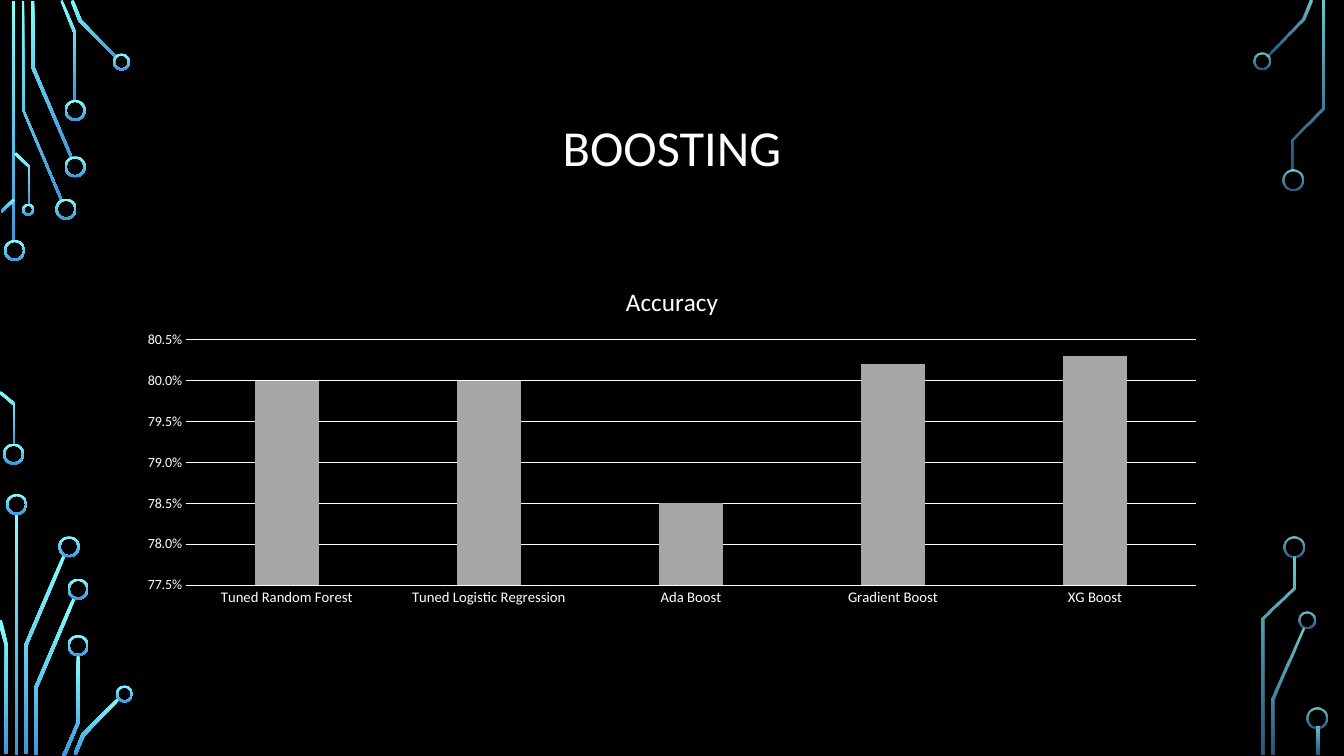
"""Build the Boosting slide: model accuracy columns framed by circuit traces."""
from pptx import Presentation
from pptx.chart import data
from pptx.dml.color import RGBColor
from pptx.enum import chart as charts, shapes, text
from pptx.oxml import ns
from pptx.util import Inches, Pt
from lxml import etree

COLORS = {"background": "000000", "text": "FFFFFF", "bar": "A6A6A6",
          "trace_top": "82FFFF", "trace_bottom": "3D97DE"}
FONT = "Calibri"
SOLID, FADED = (100, 100), (80, 60)


def style_font(font, size):
    font.name = FONT
    font.size = Pt(size)
    font.bold = False
    font.color.rgb = RGBColor.from_string(COLORS["text"])


def paint_circuit(part, opacities):
    part.shadow.inherit = False
    part.line.fill.background()
    part.fill.gradient()
    part.fill.gradient_angle = 270
    stops = part.fill.gradient_stops
    for stop, position, name in zip(stops, (0, 1), ("trace_top", "trace_bottom")):
        stop.position = position
        stop.color.rgb = RGBColor.from_string(COLORS[name])
    for color, opacity in zip(part.element.spPr.iter(ns.qn("a:srgbClr")), opacities):
        if opacity < 100:
            etree.SubElement(color, ns.qn("a:alpha")).set("val", str(opacity * 1000))


prs = Presentation()
prs.slide_width, prs.slide_height = Inches(13.33), Inches(7.5)
slide = prs.slides.add_slide(prs.slide_layouts[5])
slide.background.fill.solid()
slide.background.fill.fore_color.rgb = RGBColor.from_string(COLORS["background"])

straight_traces = [(0.12, 0.01, 2.39, SOLID), (0.15, 5.1, 2.39, SOLID),
                   (13.06, 7.21, 0.28, FADED)]
for left, top, height, opacities in straight_traces:
    trace = slide.shapes.add_shape(shapes.MSO_SHAPE.RECTANGLE, Inches(left), Inches(top),
                                   Inches(0.03), Inches(height))
    paint_circuit(trace, opacities)

left_traces = [
    [(0.6, 1.99), (0.22, 1.09), (0.22, 0.01), (0.24, 0.01), (0.24, 1.09), (0.62, 1.98)],
    [(0.7, 1.57), (0.31, 0.67), (0.31, 0.01), (0.34, 0.01), (0.34, 0.66), (0.72, 1.56)],
    [(0.76, 1), (0.73, 1), (0.73, 0.33), (0.6, 0.01), (0.62, 0), (0.76, 0.33)],
    [(1.15, 0.58), (0.78, 0.21), (0.7, 0.01), (0.73, 0), (0.81, 0.2), (1.16, 0.56)],
    [(0.02, 2.11), (0.01, 2.09), (0.13, 1.97), (0.15, 1.99)],
    [(0.15, 4.41), (0.13, 4.41), (0.13, 4.02), (-0.01, 3.9), (0.01, 3.88), (0.15, 4)],
    [(0.3, 2.03), (0.28, 2.03), (0.28, 1.66), (0.14, 1.53), (0.16, 1.51), (0.3, 1.65)],
    [(0.27, 7.48), (0.24, 7.48), (0.24, 6.4), (0.62, 5.51), (0.65, 5.52), (0.27, 6.41)],
    [(0.08, 7.48), (0.05, 7.48), (0.05, 6.41), (-0.02, 6.16), (0.02, 6.15), (0.08, 6.41)],
    [(0.37, 7.49), (0.34, 7.49), (0.34, 6.82), (0.72, 5.93), (0.75, 5.94), (0.37, 6.83)],
    [(0.65, 7.5), (0.62, 7.49), (0.76, 7.17), (0.76, 6.5), (0.79, 6.5), (0.79, 7.17)],
    [(0.76, 7.49), (0.73, 7.48), (0.81, 7.28), (1.17, 6.92), (1.19, 6.94), (0.84, 7.3)],
]
right_traces = [
    [(12.58, 0.56), (12.56, 0.55), (12.91, 0.19), (12.99, 0), (13.02, 0.01), (12.94, 0.2)],
    [(12.64, 7.49), (12.61, 7.49), (12.61, 6.93), (12.92, 6.23), (12.94, 6.24), (12.64, 6.94)],
    [(12.83, 1.69), (12.81, 1.69), (12.81, 1.38), (13.11, 1.07), (13.11, 0.01),
     (13.14, 0.01), (13.14, 1.08), (12.83, 1.39)],
    [(12.54, 7.49), (12.51, 7.49), (12.51, 6.13), (12.82, 5.83), (12.82, 5.52),
     (12.85, 5.52), (12.85, 5.84), (12.54, 6.14)],
]
for outlines, opacities in ((left_traces, SOLID), (right_traces, FADED)):
    for outline in outlines:
        corners = [(Inches(x), Inches(y)) for x, y in outline]
        builder = slide.shapes.build_freeform(*corners[0])
        builder.add_line_segments(corners[1:], close=True)
        paint_circuit(builder.convert_to_shape(), opacities)

left_nodes = [(0.04, 2.38, 0.21), (0.03, 4.4, 0.21), (0.55, 1.97, 0.21), (0.64, 1.55, 0.21),
              (0.64, 0.99, 0.21), (1.12, 0.53, 0.17), (0.22, 2.02, 0.12), (0.06, 4.9, 0.21),
              (0.58, 5.32, 0.21), (0.67, 5.74, 0.21), (0.67, 6.3, 0.21), (1.15, 6.8, 0.17)]
right_nodes = [(12.43, 0.52, 0.17), (12.72, 1.68, 0.21), (12.88, 6.07, 0.17),
               (12.73, 5.32, 0.21), (12.96, 7.02, 0.21)]
for nodes, opacities in ((left_nodes, SOLID), (right_nodes, FADED)):
    for left, top, diameter in nodes:
        node = slide.shapes.add_shape(shapes.MSO_SHAPE.DONUT, Inches(left), Inches(top),
                                      Inches(diameter), Inches(diameter))
        node.adjustments[0] = 0.02 / diameter
        paint_circuit(node, opacities)

heading = slide.shapes.title
heading.left, heading.top = Inches(1.25), Inches(0.68)
heading.width, heading.height = Inches(10.83), Inches(1.62)
heading.text_frame.text = "BOOSTING"
heading.text_frame.vertical_anchor = text.MSO_ANCHOR.MIDDLE
heading_line = heading.text_frame.paragraphs[0]
heading_line.alignment = text.PP_ALIGN.CENTER
heading_line.line_spacing = 0.9
style_font(heading_line.runs[0].font, 36)

results = data.CategoryChartData(number_format="0.0%")
results.categories = ["Tuned Random Forest", "Tuned Logistic Regression", "Ada Boost",
                      "Gradient Boost", "XG Boost"]
results.add_series("Accuracy", (0.8, 0.8, 0.785, 0.802, 0.803))
accuracy = slide.shapes.add_chart(charts.XL_CHART_TYPE.COLUMN_CLUSTERED, Inches(1.25),
                                  Inches(2.65), Inches(10.83), Inches(3.44), results).chart
style_font(accuracy.font, 10)
accuracy.has_legend = False
accuracy.has_title = True
accuracy.chart_title.text_frame.text = "Accuracy"
accuracy.chart_title.include_in_layout = False
style_font(accuracy.chart_title.text_frame.paragraphs[0].runs[0].font, 18)

columns = accuracy.plots[0]
columns.gap_width, columns.overlap = 219, -27
columns.vary_by_categories = False
bars = columns.series[0].format.fill
bars.solid()
bars.fore_color.rgb = RGBColor.from_string(COLORS["bar"])

models, percent = accuracy.category_axis, accuracy.value_axis
for axis, size in ((models, 10.5), (percent, 10)):
    axis.major_tick_mark = axis.minor_tick_mark = charts.XL_TICK_MARK.NONE
    style_font(axis.tick_labels.font, size)
percent.minimum_scale, percent.maximum_scale, percent.major_unit = 0.775, 0.805, 0.005
percent.tick_labels.number_format = "0.0%"
percent.tick_labels.number_format_is_linked = False
percent.format.line.fill.background()
percent.has_major_gridlines = True
for rule in (models.format.line, percent.major_gridlines.format.line):
    rule.width = Pt(0.75)
    rule.color.rgb = RGBColor.from_string(COLORS["text"])

prs.save("out.pptx")
